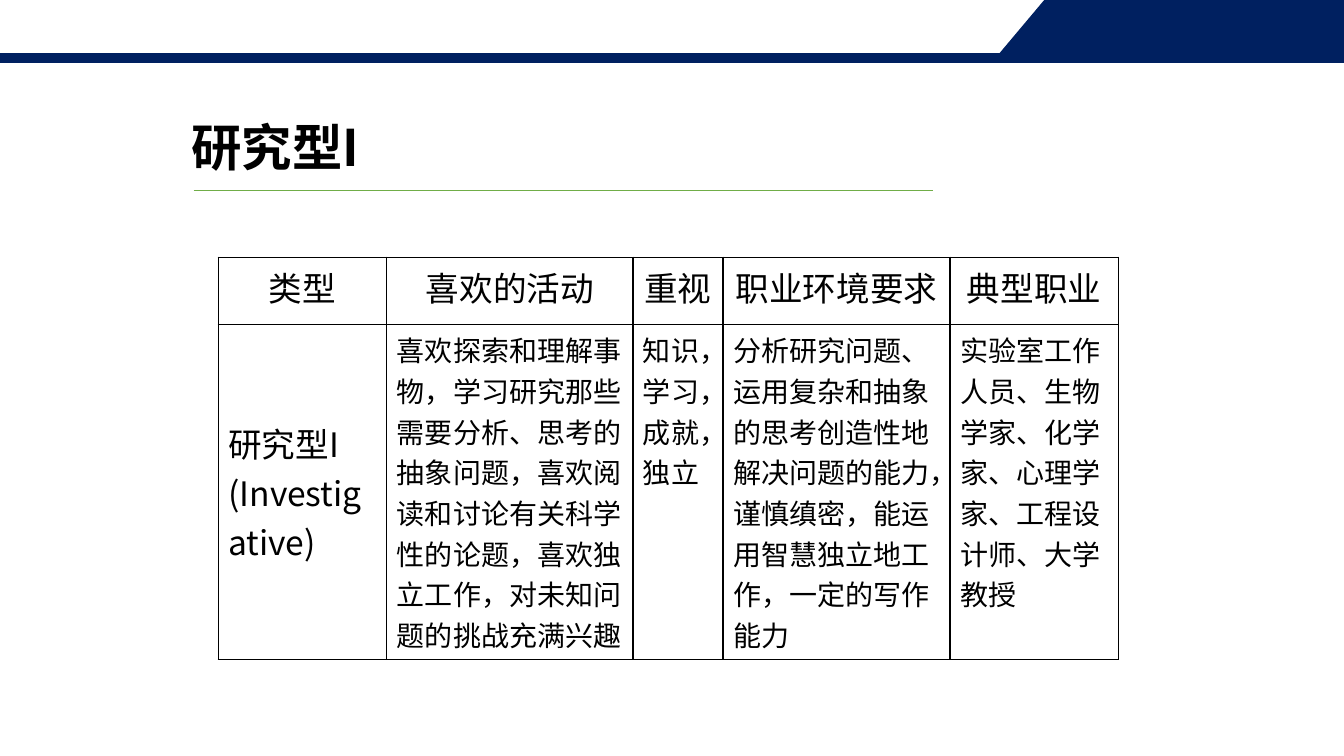
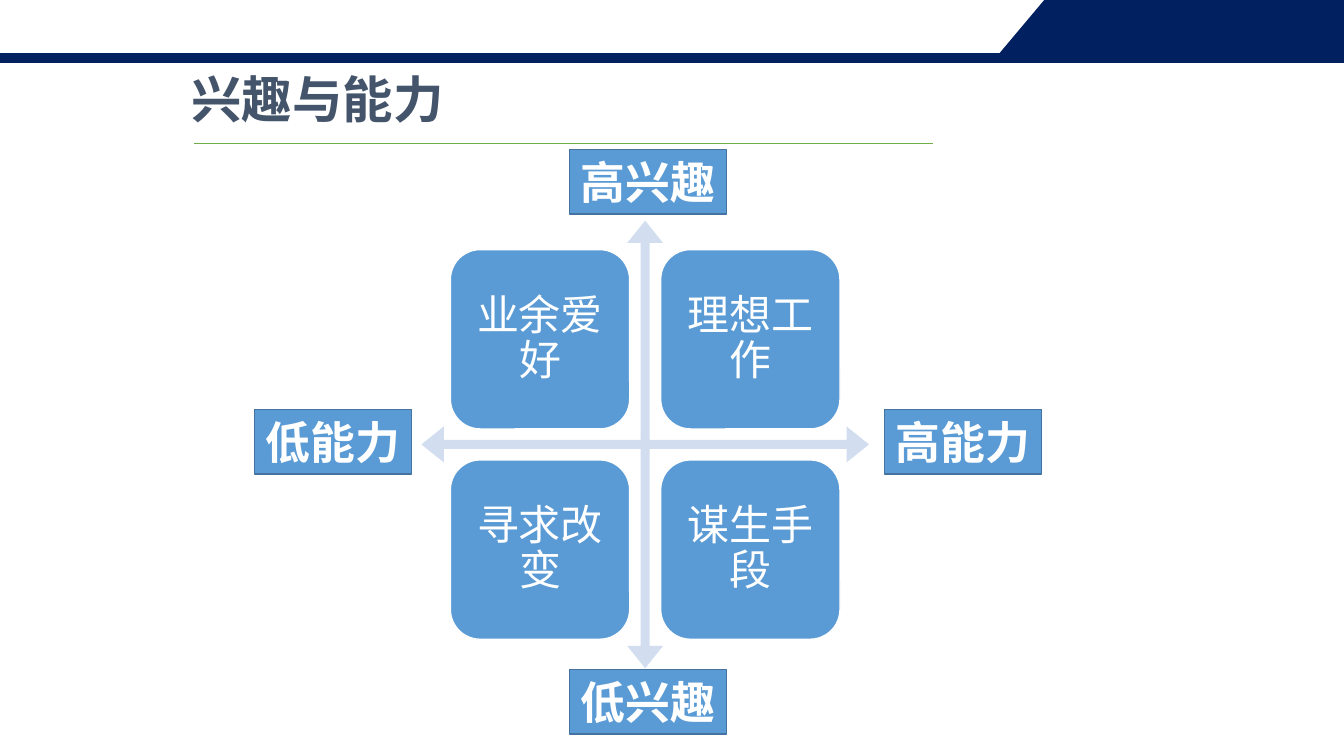
from lxml import etree
from pptx import Presentation
from pptx.dml.color import RGBColor
from pptx.enum import shapes, text
from pptx.oxml import ns
from pptx.util import Cm, Pt

FONT = "Noto Sans CJK SC"
NAVY, GREEN, BLUE, EDGE, PALE = "002060", "70AD47", "5B9BD5", "43739E", "D2DEEF"
BLACK, SLATE, WHITE = "000000", "44546A", "FFFFFF"
WIDTH, HEIGHT = 33.87, 19.05
MSO = shapes.MSO_SHAPE
LEFT, CENTER = text.PP_ALIGN.LEFT, text.PP_ALIGN.CENTER
TOP, MIDDLE = text.MSO_ANCHOR.TOP, text.MSO_ANCHOR.MIDDLE


def rgb(value):
    return RGBColor.from_string(value)


class Deck:
    def __init__(self):
        self.prs = Presentation()
        self.prs.slide_width, self.prs.slide_height = Cm(WIDTH), Cm(HEIGHT)
        self.layout = self.prs.slide_layouts[5]
        self.slide = None

    def new_slide(self, title, line_y, color):
        first = self.slide is None
        self.slide = self.prs.slides.add_slide(self.layout)
        if first:
            self.bands()
        sp = self.slide.shapes.title
        sp.left, sp.top, sp.width, sp.height = Cm(4.57), Cm(line_y - 2), Cm(16), Cm(2.1)
        self.set_text(sp.text_frame, title, 36, color, LEFT, TOP, bold=True)
        self.rule(4.88, 23.5, line_y)

    def bands(self):
        builder = self.slide.shapes.build_freeform(Cm(25.02), Cm(1.57))
        corners = [(26.34, 0), (WIDTH, 0), (WIDTH, 1.57)]
        builder.add_line_segments([(Cm(x), Cm(y)) for x, y in corners])
        corner = self.paint(builder.convert_to_shape(), NAVY, NAVY, 1)
        strip = self.shape(MSO.RECTANGLE, 13.8, 1.47, 27.6, 0.2, NAVY, NAVY, 1.5)
        tree = self.layout.element.cSld.spTree
        for i, sp in enumerate((corner, strip)):
            sp.element.nvSpPr.cNvPr.set("id", str(20 + i))
            tree.insert(2 + i, sp.element)

    def set_text(self, tf, content, size, color, align, anchor, bold=False, spacing=1):
        tf.text = content
        tf.word_wrap = True
        tf.auto_size = text.MSO_AUTO_SIZE.NONE
        tf.vertical_anchor = anchor
        self.style(tf, size, color, align, bold, spacing)

    def style(self, tf, size, color, align, bold=False, spacing=1):
        for p in tf.paragraphs:
            p.alignment, p.line_spacing = align, spacing
            for r in p.runs:
                r.font.size, r.font.bold, r.font.name = Pt(size), bold, FONT
                r.font.color.rgb = rgb(color)
                latin = r.font._element.find(ns.qn("a:latin"))
                ea = etree.Element(ns.qn("a:ea"), typeface=FONT)
                latin.addnext(ea)

    def paint(self, sp, fill, line=None, weight=1):
        sp.shadow.inherit = False
        sp.fill.solid()
        sp.fill.fore_color.rgb = rgb(fill)
        if line:
            sp.line.color.rgb = rgb(line)
            sp.line.width = Pt(weight)
        else:
            sp.line.fill.background()
        return sp

    def shape(self, kind, cx, cy, w, h, fill, line=None, weight=1):
        sp = self.slide.shapes.add_shape(
            kind, Cm(cx - w / 2), Cm(cy - h / 2), Cm(w), Cm(h))
        return self.paint(sp, fill, line, weight)

    def rule(self, x1, x2, y):
        line = self.slide.shapes.add_connector(
            shapes.MSO_CONNECTOR.STRAIGHT, Cm(x1), Cm(y), Cm(x2), Cm(y))
        line.line.color.rgb = rgb(GREEN)
        line.line.width = Pt(0.5)
        etree.SubElement(line.element.spPr, ns.qn("a:effectLst"))

    def tile(self, content, cx, cy):
        sp = self.shape(MSO.ROUNDED_RECTANGLE, cx, cy, 4.52, 4.52, BLUE, WHITE)
        tf = sp.text_frame
        tf.margin_left = tf.margin_right = tf.margin_top = tf.margin_bottom = Cm(0.3)
        self.set_text(tf, content, 30, WHITE, CENTER, MIDDLE, spacing=0.9)

    def label(self, content, cx, cy):
        sp = self.shape(MSO.RECTANGLE, cx, cy, 3.96, 1.63, BLUE, EDGE)
        tf = sp.text_frame
        tf.margin_top = tf.margin_bottom = 0
        self.set_text(tf, content, 32, WHITE, CENTER, MIDDLE, bold=True)

    def cross(self, cx, cy, size):
        sp = self.shape(MSO.QUAD_ARROW, cx, cy, size, size, PALE)
        for i, value in enumerate((0.02, 0.04, 0.05)):
            sp.adjustments[i] = value

    def borders(self, cell):
        props = cell._tc.get_or_add_tcPr()
        for i, side in enumerate("LRTB"):
            ln = etree.Element(ns.qn("a:ln" + side), w=str(Pt(1)))
            fill = etree.SubElement(ln, ns.qn("a:solidFill"))
            etree.SubElement(fill, ns.qn("a:srgbClr"), val=BLACK)
            props.insert(i, ln)

    def table(self, rows, x, y, widths, heights):
        frame = self.slide.shapes.add_table(
            len(rows), len(widths), Cm(x), Cm(y), Cm(sum(widths)), Cm(sum(heights)))
        table = frame.table
        table.first_row = table.horz_banding = False
        for column, w in zip(table.columns, widths):
            column.width = Cm(w)
        for i, row in enumerate(rows):
            table.rows[i].height = Cm(heights[i])
            for j, content in enumerate(row):
                cell = table.cell(i, j)
                cell.text = content
                cell.fill.background()
                cell.vertical_anchor = MIDDLE if i and not j else TOP
                size = 20 if i and j else 24
                self.style(cell.text_frame, size, BLACK, LEFT if i else CENTER)
                self.borders(cell)


def main():
    deck = Deck()

    deck.new_slide("研究型I", 4.8, BLACK)
    deck.table([
        ["类型", "喜欢的活动", "重视", "职业环境要求", "典型职业"],
        ["研究型I\n(Investigative)",
         "喜欢探索和理解事物，学习研究那些需要分析、思考的抽象问题，喜欢阅读和讨论有关科学性的论题，"
         "喜欢独立工作，对未知问题的挑战充满兴趣",
         "知识，学习，成就，独立",
         "分析研究问题、运用复杂和抽象的思考创造性地解决问题的能力，谨慎缜密，能运用智慧独立地工作，"
         "一定的写作能力",
         "实验室工作人员、生物学家、化学家、心理学家、工程设计师、大学教授"],
    ], 5.5, 6.48, [4.25, 6.2, 2.27, 5.72, 4.24], [1.69, 8.44])

    deck.new_slide("兴趣与能力", 3.6, SLATE)
    cx, cy = 16.26, 11.2
    deck.cross(cx, cy, 11.28)
    step = 2.65
    tiles = ["业余爱好", "理想工作", "寻求改变", "谋生手段"]
    for i, content in enumerate(tiles):
        row, col = divmod(i, 2)
        deck.tile(content, cx + step * (2 * col - 1), cy + step * (2 * row - 1))
    ends = [("高兴趣", 0, -1), ("低兴趣", 0, 1), ("低能力", -1, 0), ("高能力", 1, 0)]
    for content, dx, dy in ends:
        deck.label(content, 16.33 + 7.94 * dx, 11.13 + 6.55 * dy)

    deck.prs.save("out.pptx")


if __name__ == "__main__":
    main()
